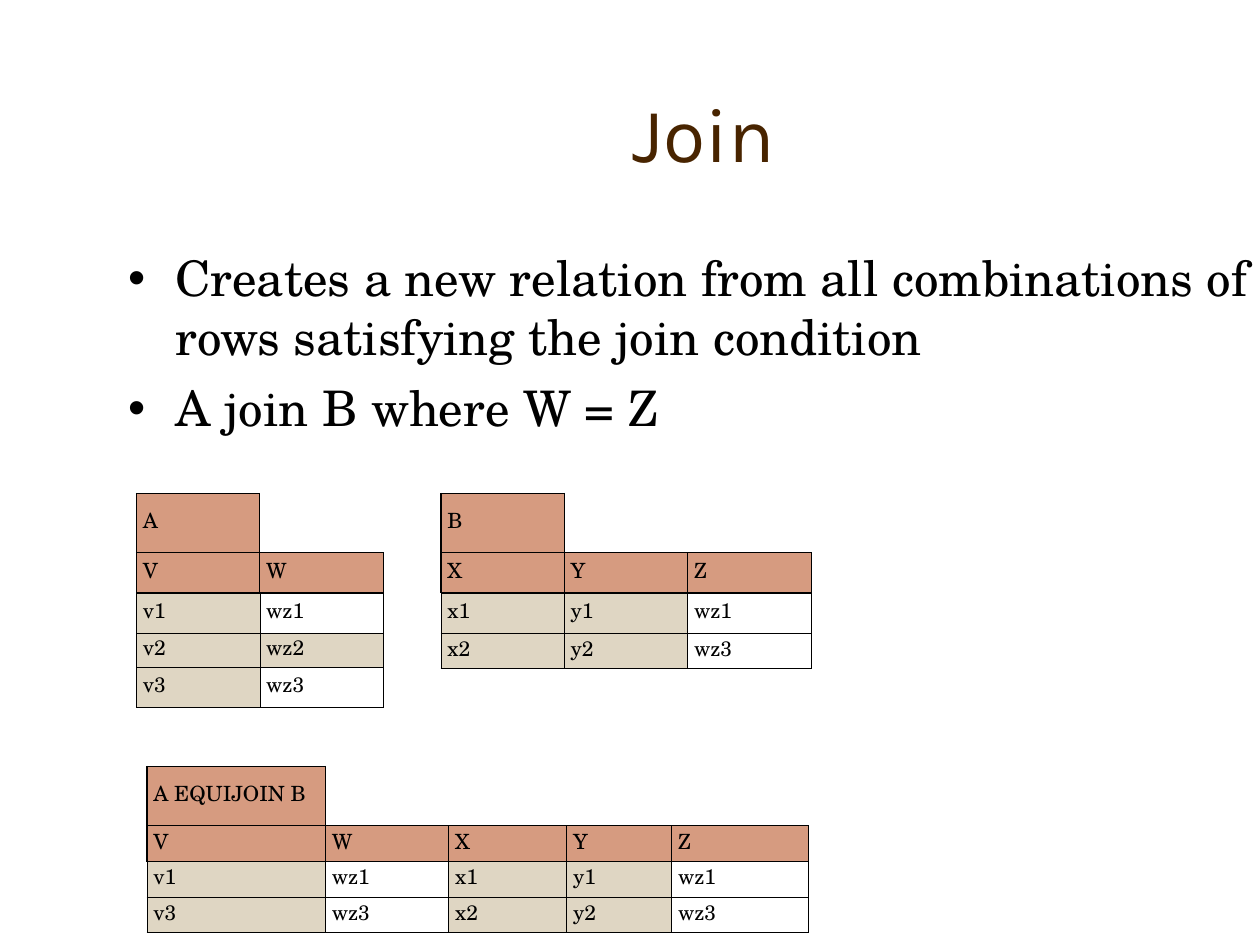
from lxml import etree
from pptx import Presentation, util as u
from pptx.dml.color import RGBColor
from pptx.enum import text
from pptx.oxml import ns

BROWN = RGBColor(0x48, 0x24, 0x00)
BLACK = RGBColor(0, 0, 0)
WHITE = RGBColor(0xFF, 0xFF, 0xFF)
CLAY = RGBColor(0xD6, 0x9B, 0x80)
SAND = RGBColor(0xDF, 0xD6, 0xC3)
SERIF = "TeX Gyre Schola"
PLAIN = "{2D5ABB26-0587-4C30-8999-92F81FD0307C}"  # table style without a grid
MATCH = ("wz1", "wz3")  # values that satisfy the join condition
THICK, THIN = 0.75, 0.45


def grid(n):
    """Length of n grid steps; the slide has 120 columns and 90 rows."""
    return u.Inches(n / 12)


def place(shape, box):
    shape.left, shape.top, shape.width, shape.height = map(grid, box)


def write(para, words, size, font, color):
    run = para.add_run()
    run.text = words
    run.font.size = u.Pt(size)
    run.font.name = font
    run.font.color.rgb = color


def add_title(slide, box, words):
    title = slide.shapes.title
    place(title, box)
    frame = title.text_frame
    frame.auto_size = text.MSO_AUTO_SIZE.NONE
    frame.vertical_anchor = text.MSO_ANCHOR.MIDDLE
    para = frame.paragraphs[0]
    para.alignment = text.PP_ALIGN.CENTER
    write(para, words, 44, "Karla", BROWN)


def add_list(slide, box, items):
    body = slide.placeholders[1]
    place(body, box)
    frame = body.text_frame
    frame.auto_size = text.MSO_AUTO_SIZE.NONE
    for i, item in enumerate(items):
        para = frame.add_paragraph() if i else frame.paragraphs[0]
        para.space_before = u.Pt(7)
        write(para, item, 28, SERIF, BLACK)


def set_edges(cell, widths):
    """Draw the left, right, top and bottom edges; 0 hides an edge."""
    props = cell._tc.get_or_add_tcPr()
    for side, width in zip("LRTB", widths):
        line = etree.SubElement(props, ns.qn("a:ln" + side), w=str(u.Pt(width)))
        if width:
            fill = etree.SubElement(line, ns.qn("a:solidFill"))
            etree.SubElement(fill, ns.qn("a:srgbClr"), val=str(BLACK))
        else:
            etree.SubElement(line, ns.qn("a:noFill"))


def fill_cell(cell, words, row):
    cell.margin_left = cell.margin_right = u.Inches(0.05)
    cell.margin_top = cell.margin_bottom = u.Inches(0.05)
    cell.vertical_anchor = text.MSO_ANCHOR.MIDDLE
    edge = THICK if row < 2 else THIN
    set_edges(cell, (edge, edge, THICK if row == 2 else edge, edge))
    cell.fill.solid()
    color = CLAY if row < 2 else WHITE if words in MATCH else SAND
    cell.fill.fore_color.rgb = color
    if not cell.is_spanned:
        para = cell.text_frame.paragraphs[0]
        para.line_spacing = 0.6
        para.space_before = u.Pt(3)
        write(para, words, 12, SERIF, BLACK)


def add_relation(slide, box, name, rows, cols, highs, spans=None, gaps=()):
    """Name row, heading row and data; spans gives grid columns per value."""
    spans = spans or [1] * len(cols)
    frame = slide.shapes.add_table(len(rows) + 1, len(cols), *map(grid, box))
    table = frame.table
    table.first_row = table.horz_banding = False
    frame._element.find(".//" + ns.qn("a:tableStyleId")).text = PLAIN
    for col, wide in zip(table.columns, cols):
        col.width = grid(wide)
    for row, high in zip(table.rows, highs):
        row.height = grid(high)

    # Name row: only its first cell is drawn
    for first, last in gaps:
        table.cell(0, first).merge(table.cell(0, last))
    fill_cell(table.cell(0, 0), name, 0)
    for c in range(1, len(cols)):
        cell = table.cell(0, c)
        set_edges(cell, (THICK if c == 1 else 0, 0, 0, THICK))
        cell.fill.background()

    # Heading and data rows
    for r, values in enumerate(rows, 1):
        c = 0
        for value, span in zip(values, spans):
            if span > 1:
                table.cell(r, c).merge(table.cell(r, c + span - 1))
            for k in range(c, c + span):
                fill_cell(table.cell(r, k), value, r)
            c += span


def main():
    prs = Presentation()
    prs.slide_width, prs.slide_height = grid(120), grid(90)
    slide = prs.slides.add_slide(prs.slide_layouts[1])

    add_title(slide, (16, 5, 102, 15), "Join")
    add_list(slide, (11, 23, 114, 52), [
        "Creates a new relation from all combinations of rows "
        "satisfying the join condition",
        "A join B where W = Z",
    ])

    # Source relations
    add_relation(slide, (13, 47, 23.5, 20.4), "A",
                 [("V", "W"), ("v1", "wz1"), ("v2", "wz2"), ("v3", "wz3")],
                 [11.75] * 2, [5.64, 3.84, 3.84, 3.24, 3.84])
    add_relation(slide, (42, 47, 35.25, 16.68), "B",
                 [("X", "Y", "Z"), ("x1", "y1", "wz1"), ("x2", "y2", "wz3")],
                 [11.75] * 3, [5.64, 3.84, 3.84, 3.36])

    # Joined relation
    add_relation(slide, (14, 73, 63, 15.84), "A EQUIJOIN B",
                 [("V", "W", "X", "Y", "Z"),
                  ("v1", "wz1", "x1", "y1", "wz1"),
                  ("v3", "wz3", "x2", "y2", "wz3")],
                 [17, 6.5, 5.25, 1.25, 6.5, 3.5, 10, 13],
                 [5.64] + [3.4] * 3,
                 spans=[1, 2, 3, 1, 1], gaps=[(2, 3), (5, 7)])

    prs.save("out.pptx")


if __name__ == "__main__":
    main()
